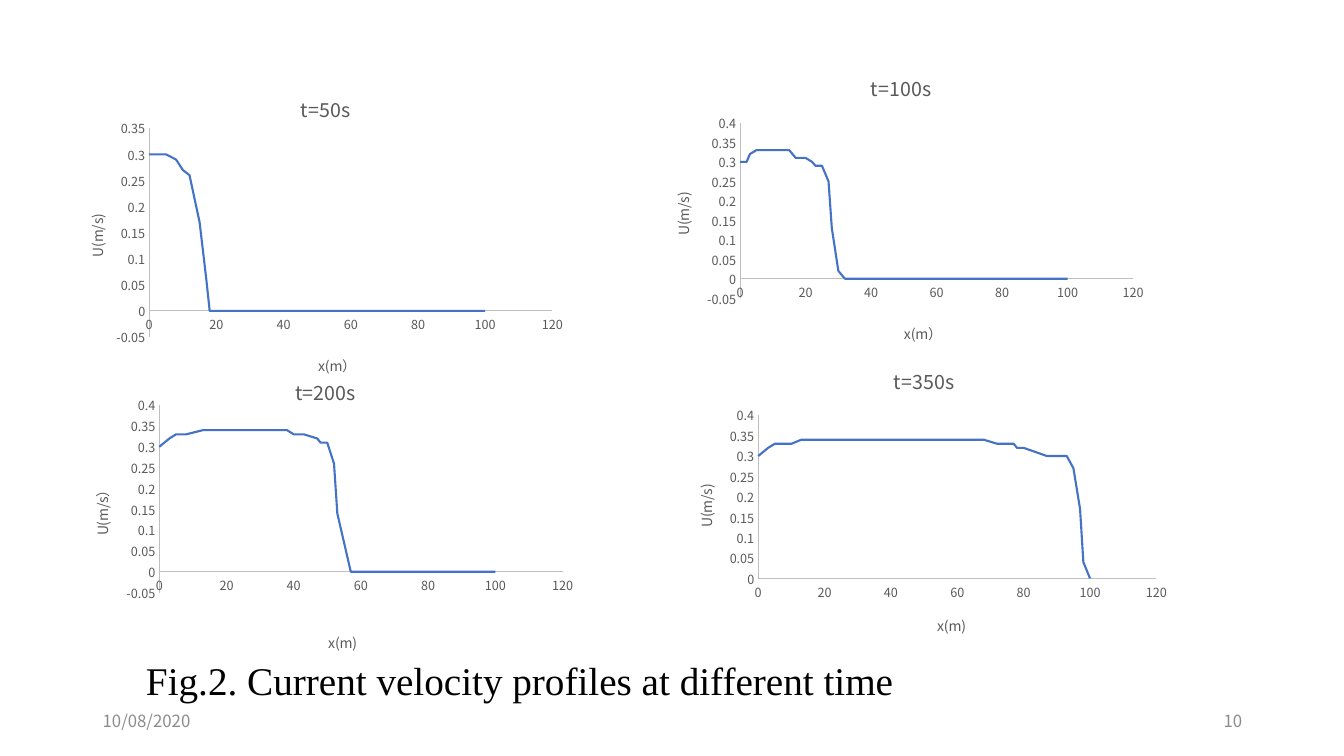
from lxml import etree
from pptx import Presentation
from pptx.chart.data import XyChartData
from pptx.dml.color import RGBColor
from pptx.enum.chart import XL_CHART_TYPE, XL_TICK_LABEL_POSITION, XL_TICK_MARK
from pptx.enum.text import MSO_ANCHOR, PP_ALIGN
from pptx.oxml.ns import qn
from pptx.util import Inches, Pt

SCATTER = XL_CHART_TYPE.XY_SCATTER_LINES_NO_MARKERS
NO_TICK = XL_TICK_MARK.NONE
NEXT_TO_AXIS = XL_TICK_LABEL_POSITION.NEXT_TO_AXIS
LEFT, RIGHT = PP_ALIGN.LEFT, PP_ALIGN.RIGHT
TOP, MIDDLE = MSO_ANCHOR.TOP, MSO_ANCHOR.MIDDLE

COLORS = {"line": "4472C4", "axis": "BFBFBF", "label": "595959",
          "footer": "8C8C8C", "caption": "000000"}
SANS, SERIF = "Noto Sans CJK SC", "Times New Roman"
CHART_SIZE = (5, 3)

# Sixty equal cells along 100 m, in whole metres; each profile skips a few.
GRID = [round(cell * 100 / 60) for cell in range(61)]

# Speeds in m/s; the speed is zero beyond the last one given.
# "plot", "x_title" and "y_title" are shares of the chart's size.
PROFILES = [
    {
        "title": "t=50s", "x_label": "x(m）", "y_label": "U(m/s)",
        "at": (0.73, 0.77), "range": (-0.05, 0.35),
        "plot": (0.15, 0.17, 0.8, 0.7), "x_title": (0.48, 0.92), "y_title": (0.02, 0.45),
        "skipped": {7, 13, 35, 42, 53, 55, 60, 67, 68, 73, 77, 78, 85, 88, 95, 97},
        "speeds": [0.3] * 4 + [0.29, 0.27, 0.26, 0.17, 0.06],
    },
    {
        "title": "t=100s", "x_label": "x(m）", "y_label": "U(m/s)",
        "at": (6.44, 0.56), "range": (-0.05, 0.4),
        "plot": (0.18, 0.22, 0.78, 0.58), "x_title": (0.5, 0.87), "y_title": (0.04, 0.44),
        "skipped": {7, 8, 57, 82, 92, 97},
        "speeds": [0.3, 0.3, 0.32] + [0.33] * 5 + [0.31] * 3
                  + [0.3, 0.29, 0.29, 0.25, 0.13, 0.02],
    },
    {
        "title": "t=200s", "x_label": "x(m)", "y_label": "U(m/s）",
        "at": (0.73, 3.57), "range": (-0.05, 0.4),
        "plot": (0.17, 0.15, 0.8, 0.62), "x_title": (0.5, 0.89), "y_title": (0.03, 0.4),
        "skipped": {2, 7, 10, 12, 15, 17, 33, 35, 45, 55, 60, 77, 82, 83, 85, 92},
        "speeds": [0.3, 0.32, 0.33, 0.33] + [0.34] * 12 + [0.33] * 3
                  + [0.32, 0.31, 0.31, 0.26, 0.14],
    },
    {
        "title": "t=350s", "x_label": "x(m)", "y_label": "U(m/s)",
        "at": (6.67, 3.46), "range": (0, 0.4),
        "plot": (0.17, 0.22, 0.79, 0.54), "x_title": (0.52, 0.87), "y_title": (0.04, 0.44),
        "skipped": {2, 7, 12, 17, 18, 22, 40, 55, 70, 82, 83, 85},
        "speeds": [0.3, 0.32] + [0.33] * 3 + [0.34] * 29 + [0.33] * 4 + [0.32] * 2
                  + [0.3] * 5 + [0.27, 0.17, 0.04],
    },
]

FOOTER = {"size": 12, "font": SANS, "color_name": "footer", "anchor": MIDDLE}
TEXTS = [
    ("10/08/2020", (0.92, 6.95, 3, 0.4), FOOTER),
    ("10", (9.42, 6.95, 3, 0.4), {**FOOTER, "align": RIGHT}),
    ("Fig.2. Current velocity profiles at different time", (1.35, 6.46, 10.63, 0.57),
     {"size": 28, "font": SERIF, "color_name": "caption"}),
]


def color(name):
    return RGBColor.from_string(COLORS[name])


def write_text(frame, text, size, font=SANS, color_name="label", align=None):
    paragraph = frame.paragraphs[0]
    if align is not None:
        paragraph.alignment = align
    run = paragraph.add_run()
    run.text = text
    run.font.size = Pt(size)
    run.font.name = font
    run.font.bold = False
    run.font.color.rgb = color(color_name)


def add_text(slide, text, box, anchor=TOP, align=LEFT, **text_format):
    frame = slide.shapes.add_textbox(*map(Inches, box)).text_frame
    frame.word_wrap = True
    frame.vertical_anchor = anchor
    write_text(frame, text, align=align, **text_format)


def set_layout(element, index, shares, inner=False):
    """Fix the place of a plot area or title as shares of its chart."""
    for old_layout in element.findall(qn("c:layout")):
        element.remove(old_layout)
    layout = etree.Element(qn("c:layout"))
    element.insert(index, layout)
    manual = etree.SubElement(layout, qn("c:manualLayout"))
    settings = [("layoutTarget", "inner")] if inner else []
    settings += [("xMode", "edge"), ("yMode", "edge")]
    settings += zip("xywh", shares)
    for tag, value in settings:
        etree.SubElement(manual, qn(f"c:{tag}")).set("val", str(value))


def format_axis(axis, label, place, limits, step):
    axis.minimum_scale, axis.maximum_scale = limits
    axis.major_unit = step
    axis.has_major_gridlines = False
    axis.major_tick_mark = axis.minor_tick_mark = NO_TICK
    axis.tick_label_position = NEXT_TO_AXIS
    axis.tick_labels.number_format = "General"
    axis.tick_labels.number_format_is_linked = False
    axis.tick_labels.font.size = Pt(9)
    axis.tick_labels.font.name = SANS
    axis.tick_labels.font.color.rgb = color("label")
    axis.format.line.color.rgb = color("axis")
    axis.format.line.width = Pt(0.75)
    write_text(axis.axis_title.text_frame, label, 10)
    set_layout(axis.axis_title._element, 1, place)


def add_profile(slide, profile):
    distances = [distance for distance in GRID if distance not in profile["skipped"]]
    speeds = profile["speeds"]
    speeds = speeds + [0] * (len(distances) - len(speeds))
    data = XyChartData()
    points = data.add_series("Series 1")
    for distance, speed in zip(distances, speeds):
        points.add_data_point(distance, speed)
    box = map(Inches, profile["at"] + CHART_SIZE)
    chart = slide.shapes.add_chart(SCATTER, *box, data).chart
    chart.font.size = Pt(10)
    chart.font.name = SANS
    chart.has_legend = False
    write_text(chart.chart_title.text_frame, profile["title"], 14)

    plot = chart.plots[0]
    plot.vary_by_categories = False
    series = plot.series[0]
    series.smooth = False
    series.format.line.color.rgb = color("line")
    series.format.line.width = Pt(1.5)

    format_axis(chart.category_axis, profile["x_label"], profile["x_title"], (0, 120), 20)
    format_axis(chart.value_axis, profile["y_label"], profile["y_title"],
                profile["range"], 0.05)
    body = chart.value_axis.axis_title.text_frame._txBody.find(qn("a:bodyPr"))
    body.set("rot", "-5400000")
    body.set("vert", "horz")
    plot_area = chart._chartSpace.find(f"{qn('c:chart')}/{qn('c:plotArea')}")
    set_layout(plot_area, 0, profile["plot"], inner=True)


def main():
    presentation = Presentation()
    presentation.slide_width, presentation.slide_height = Inches(13.33), Inches(7.5)
    slide = presentation.slides.add_slide(presentation.slide_layouts[6])
    for profile in PROFILES:
        add_profile(slide, profile)
    for text, box, text_format in TEXTS:
        add_text(slide, text, box, **text_format)
    presentation.save("out.pptx")


if __name__ == "__main__":
    main()
